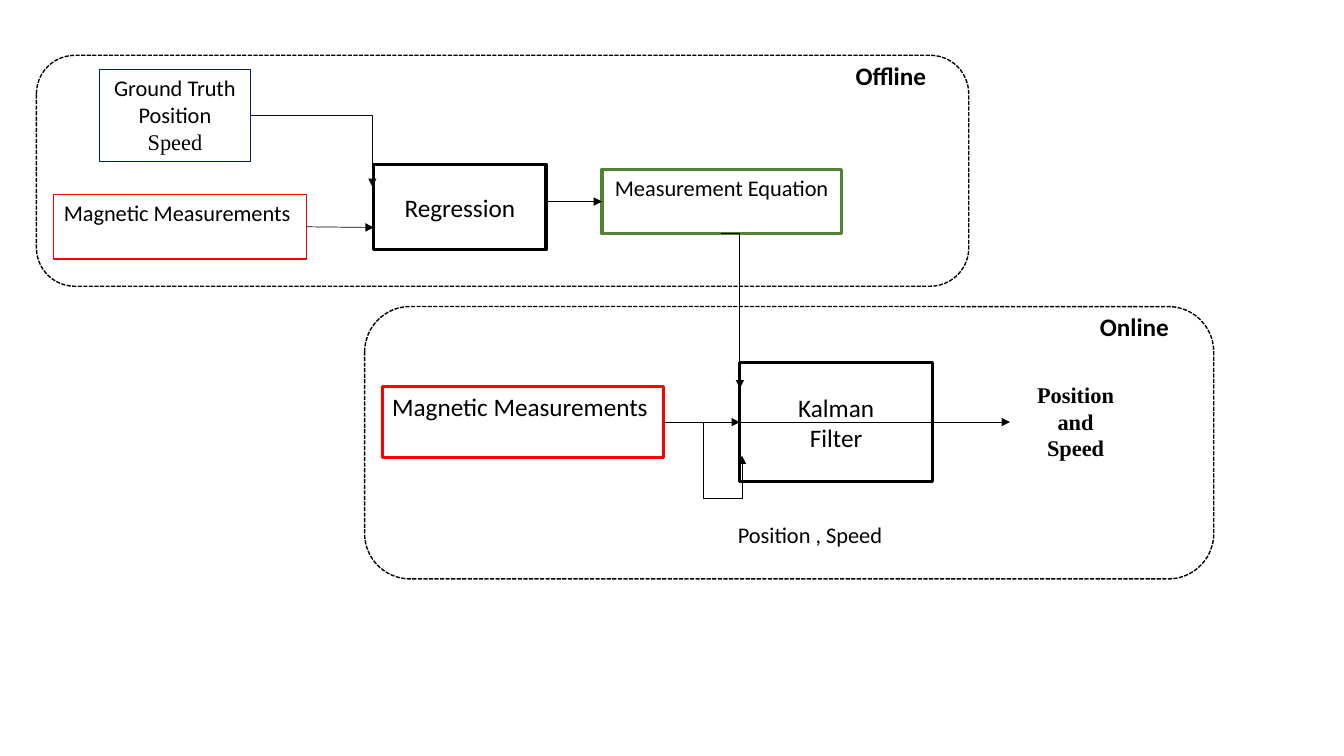
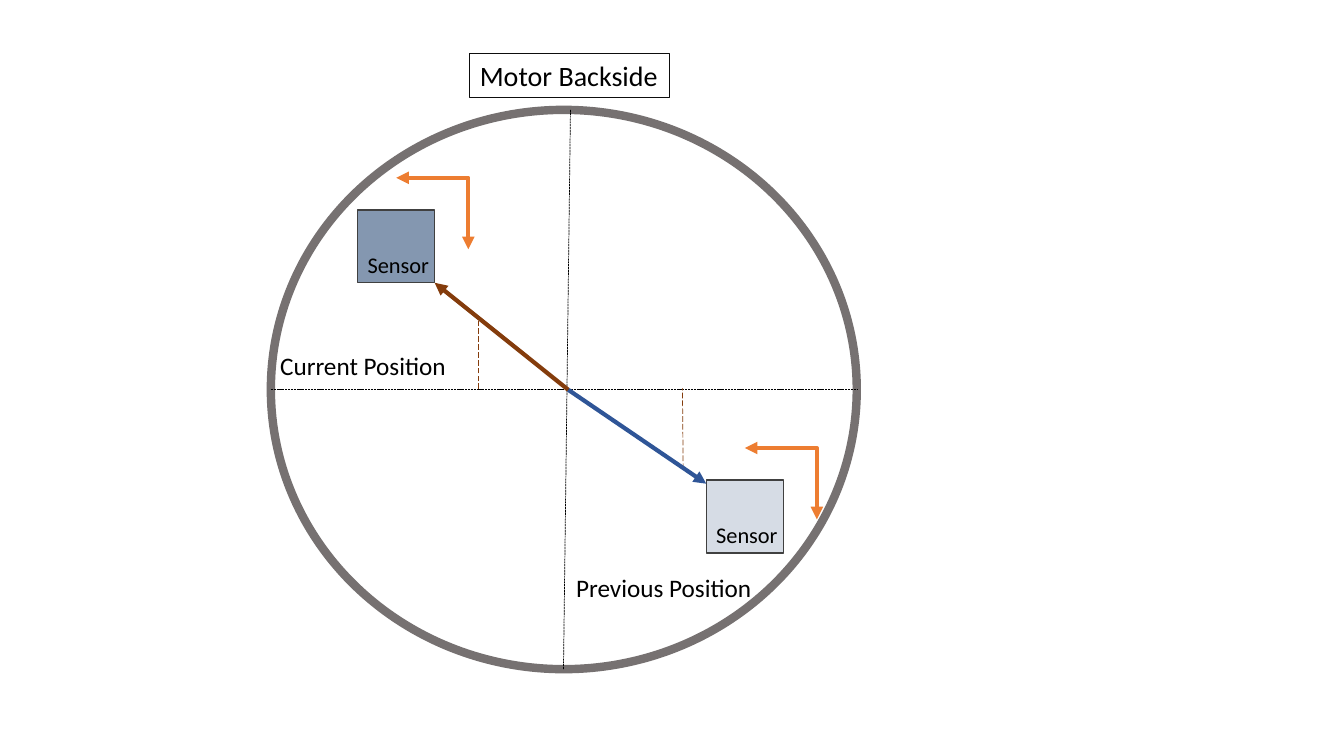
from lxml.etree import SubElement
from pptx import Presentation
from pptx.dml.color import RGBColor
from pptx.enum.dml import MSO_LINE
from pptx.enum.shapes import MSO_CONNECTOR, MSO_SHAPE
from pptx.enum.text import MSO_ANCHOR, MSO_AUTO_SIZE, PP_ALIGN
from pptx.oxml.ns import qn
from pptx.util import Pt

BLACK = RGBColor(0x00, 0x00, 0x00)
WHITE = RGBColor(0xFF, 0xFF, 0xFF)
NEAR_BLACK = RGBColor(0x0D, 0x0D, 0x0D)
CHARCOAL = RGBColor(0x40, 0x40, 0x40)
GREY = RGBColor(0x76, 0x71, 0x71)
RED = RGBColor(0xFF, 0x00, 0x00)
GREEN = RGBColor(0x54, 0x82, 0x35)
NAVY = RGBColor(0x00, 0x20, 0x60)
BLUE = RGBColor(0x2F, 0x55, 0x97)
SLATE = RGBColor(0x84, 0x97, 0xB0)
PALE_SLATE = RGBColor(0xD6, 0xDC, 0xE5)
ORANGE = RGBColor(0xED, 0x7D, 0x31)
BROWN = RGBColor(0x84, 0x3C, 0x0C)

SANS = "Calibri"
SERIF = "Times New Roman"


def shifted(region, left, top, width, height):
    return region[0] + left, region[1] + top, width, height


def points(values):
    return [Pt(value) for value in values]


def write(frame, lines, size, align=PP_ALIGN.LEFT, anchor=MSO_ANCHOR.TOP,
          bold=False, fonts=(), wrap=True):
    frame.word_wrap = wrap
    frame.auto_size = MSO_AUTO_SIZE.NONE
    frame.vertical_anchor = anchor
    for index, line in enumerate(lines):
        paragraph = frame.add_paragraph() if index else frame.paragraphs[0]
        paragraph.text = line
        paragraph.alignment = align
        font = paragraph.font
        font.name = fonts[index] if fonts else SANS
        font.size = Pt(size)
        font.bold = bold
        font.color.rgb = BLACK


def add_label(slide, box, lines, size, **style):
    label = slide.shapes.add_textbox(*points(box))
    write(label.text_frame, lines, size, **style)


def add_block(slide, box, color, weight, fill=None, kind=MSO_SHAPE.RECTANGLE):
    block = slide.shapes.add_shape(kind, *points(box))
    block.shadow.inherit = False
    if fill is None:
        block.fill.background()
    else:
        block.fill.solid()
        block.fill.fore_color.rgb = fill
    block.line.color.rgb = color
    block.line.width = Pt(weight)
    return block


def add_link(slide, region, start, end, color=BLACK, weight=0.5, ends=("tailEnd",),
             dash=None, elbow=False, source=None, target=None):
    x, y = region[:2]
    kind = MSO_CONNECTOR.ELBOW if elbow else MSO_CONNECTOR.STRAIGHT
    link = slide.shapes.add_connector(
        kind, *points((x + start[0], y + start[1], x + end[0], y + end[1])))
    if source:
        link.begin_connect(source, 3)
    if target:
        link.end_connect(target, 1)
    link.line.color.rgb = color
    link.line.width = Pt(weight)
    if dash:
        link.line.dash_style = dash
    properties = link.element.spPr
    if elbow:
        properties.find(qn("a:prstGeom")).set("prst", "bentConnector2")
    outline = properties.find(qn("a:ln"))
    for end_name in ends:
        SubElement(outline, qn("a:" + end_name)).set("type", "triangle")
    SubElement(properties, qn("a:effectLst"))


def add_phase(slide, region, name, name_left):
    panel = add_block(slide, region, BLACK, 1, kind=MSO_SHAPE.ROUNDED_RECTANGLE)
    panel.line.dash_style = MSO_LINE.SQUARE_DOT
    add_label(slide, shifted(region, name_left, 0, 68, 29), [name], 18, bold=True)


def add_offline_phase(slide, region):
    add_phase(slide, region, "Offline", 578)
    truth = add_block(slide, shifted(region, 45, 10, 108, 66), NAVY, 0.75)
    write(truth.text_frame, ["Ground Truth", "Position", "Speed"], 16,
          align=PP_ALIGN.CENTER, fonts=(SANS, SANS, SERIF))
    measurements = add_block(slide, shifted(region, 12.5, 99.5, 180.5, 46), RED, 0.75)
    write(measurements.text_frame, ["Magnetic Measurements"], 16)
    regression = add_block(slide, shifted(region, 241, 78, 123, 61), BLACK, 2.25, WHITE)
    write(regression.text_frame, ["Regression"], 18,
          align=PP_ALIGN.CENTER, anchor=MSO_ANCHOR.MIDDLE)
    equation = add_block(slide, shifted(region, 404, 81.5, 171, 46), GREEN, 2.25)
    write(equation.text_frame, ["Measurement Equation"], 16, align=PP_ALIGN.CENTER)
    add_link(slide, region, (153, 43), (240, 94), NEAR_BLACK, elbow=True)
    add_link(slide, region, (193, 122.5), (241, 123), source=measurements)
    add_link(slide, region, (365, 104.5), (404, 104.5), target=equation)


def add_online_phase(slide, region):
    add_phase(slide, region, "Online", 518)
    measurements = add_block(slide, shifted(region, 12.5, 57, 201, 51), RED, 2.25)
    write(measurements.text_frame, ["Magnetic Measurements"], 18)
    kalman = add_block(slide, shifted(region, 268, 40, 137.5, 85), BLACK, 2.25, WHITE)
    write(kalman.text_frame, ["Kalman", "Filter"], 18,
          align=PP_ALIGN.CENTER, anchor=MSO_ANCHOR.MIDDLE)
    add_label(slide, shifted(region, 458.5, 49.5, 98.5, 87), ["Position", "and", "Speed"],
              16, align=PP_ALIGN.CENTER, bold=True, fonts=(SERIF,) * 3)
    add_label(slide, shifted(region, 259.5, 150, 160.5, 27), ["Position , Speed"], 16)
    add_link(slide, region, (213.5, 82.5), (268, 82.5), weight=0.75,
             source=measurements, target=kalman)
    add_link(slide, region, (405.5, 82.5), (461, 82.5), source=kalman)
    add_link(slide, region, (434, 82.5), (242, 137), ends=(), elbow=True)
    add_link(slide, region, (242, 137), (269.5, 106.5), elbow=True)


def add_sensor(slide, box, fill):
    sensor = add_block(slide, box, CHARCOAL, 1, fill)
    sensor.text_frame.margin_right = 0
    write(sensor.text_frame, ["Sensor"], 16, anchor=MSO_ANCHOR.BOTTOM)
    add_link(slide, box, (27.5, -23), (79, 28), ORANGE, 3,
             ends=("headEnd", "tailEnd"), elbow=True)


def add_motor(slide, region):
    width, height = region[2:]
    center = (212.5, 200)
    add_block(slide, region, GREY, 6, kind=MSO_SHAPE.OVAL)
    for start, end in (((0, 199.5), (width, 199.5)), ((214, 0), (209, height))):
        add_link(slide, region, start, end, ends=(), dash=MSO_LINE.SQUARE_DOT)
    for start, end in (((148, 199.5), (148, 148.5)), ((294.5, 256.5), (294, 199))):
        add_link(slide, region, start, end, BROWN, ends=(), dash=MSO_LINE.LONG_DASH)
    add_sensor(slide, shifted(region, 62, 71.5, 55, 52), SLATE)
    add_sensor(slide, shifted(region, 311, 264.5, 55, 52), PALE_SLATE)
    add_link(slide, region, center, (117, 123.5), BROWN, 3)
    add_link(slide, region, center, (311, 267), BLUE, 3)
    add_label(slide, shifted(region, -0.5, 168.5, 134, 29), ["Current Position"], 18)
    add_label(slide, shifted(region, 211, 327, 141, 29), ["Previous Position"], 18)


def add_title(slide, box):
    title = slide.shapes.title
    title.left, title.top, title.width, title.height = points(box)
    title.line.color.rgb = NEAR_BLACK
    title.line.width = Pt(0.75)
    write(title.text_frame, ["Motor Backside"], 20)


def build_estimation_slide(deck):
    slide = deck.slides.add_slide(deck.slide_layouts[6])
    page = (0, 0, 960, 540)
    add_offline_phase(slide, shifted(page, 26, 39.5, 666, 165))
    add_online_phase(slide, shifted(page, 260.5, 219, 606.5, 194.5))
    add_link(slide, page, (515, 167), (528.5, 277.5), elbow=True)


def build_motor_slide(deck):
    slide = deck.slides.add_slide(deck.slide_layouts[5])
    add_title(slide, (335.5, 38.5, 143, 31.5))
    add_motor(slide, (193.5, 78.5, 418.5, 399.5))


def main():
    deck = Presentation()
    deck.slide_width = Pt(960)
    deck.slide_height = Pt(540)
    build_estimation_slide(deck)
    build_motor_slide(deck)
    deck.save("out.pptx")


if __name__ == "__main__":
    main()
